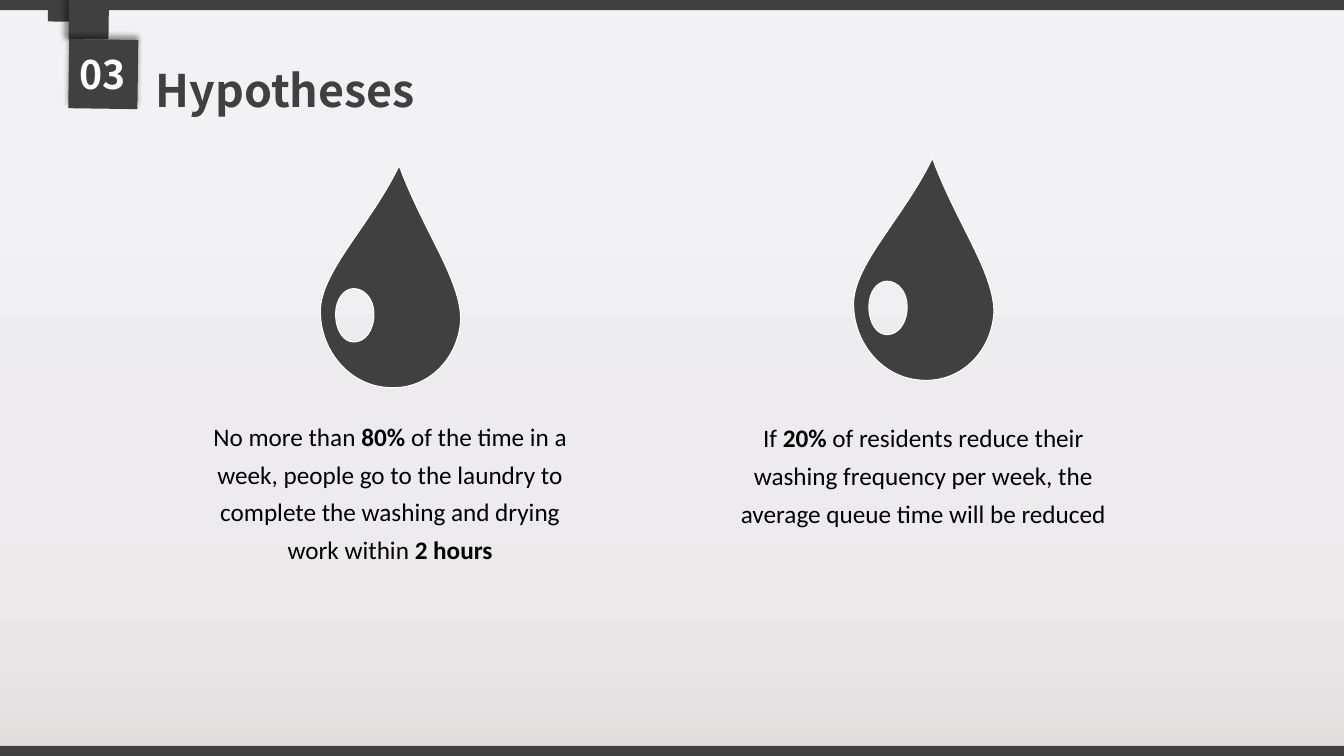
from collections import namedtuple

from lxml import etree
from pptx import Presentation
from pptx import util as u
from pptx.dml.color import RGBColor
from pptx.enum import shapes, text
from pptx.oxml import ns

COLORS = {"dark": "404040", "white": "FFFFFF", "black": "000000"}
BACKGROUND = [(0, "E0DCDB"), (13, "E9E7E8"), (23, "ECEAEB"),
              (34, "EDEBEE"), (51, "EDEDEF"), (73, "F2F2F4")]
HEADING_FONT, BODY_FONT = "Noto Sans CJK SC", "Calibri"

# The slide is a grid of 160 columns by 90 rows of square cells.
COLUMNS, ROWS = 160, 90
CELL = u.Inches(7.5) / ROWS
Box = namedtuple("Box", "left top width height")

# Drop curves on the drop's own grid: start, then cubic segments.
DROP_SIZE = (142, 223)
DROP_OUTLINE = [(80, 0),
                (52, 58), (5, 102), (2, 141),
                (0, 181), (29, 217), (67, 220),
                (106, 224), (138, 194), (141, 154),
                (142, 114), (104, 65), (80, 0)]
DROP_HOLE = [(35, 175),
             (25, 175), (17, 164), (17, 147),
             (17, 133), (25, 122), (35, 122),
             (46, 122), (55, 133), (55, 147),
             (55, 164), (46, 175), (35, 175)]


def color(name):
    """Return the RGB colour with this name."""
    return RGBColor.from_string(COLORS[name])


def inside(box, left, top, width, height):
    """Return a box placed by cells from the corner of another box."""
    return Box(box.left + left, box.top + top, width, height)


def emu(box):
    """Convert a box from cells to slide lengths."""
    return [u.Emu(round(value * CELL)) for value in box]


def add_child(parent, tag, **attributes):
    """Append a DrawingML element."""
    values = {key: str(value) for key, value in attributes.items()}
    return etree.SubElement(parent, ns.qn(tag), values)


def paint_background(page):
    """Fill the page with a gradient that runs from bottom to top."""
    fill = page.background.fill
    fill.gradient()
    fill.gradient_angle = 90
    stops = page.element.find(".//" + ns.qn("a:gsLst"))
    for stop in list(stops):
        stops.remove(stop)
    for position, value in BACKGROUND:
        stop = add_child(stops, "a:gs", pos=position * 1000)
        add_child(stop, "a:srgbClr", val=value)


def fill_dark(shape):
    """Give a shape a flat dark fill."""
    shape.shadow.inherit = False
    shape.fill.solid()
    shape.fill.fore_color.rgb = color("dark")


def add_dark_shape(parent, kind, box):
    """Add a dark preset shape without outline."""
    shape = parent.shapes.add_shape(kind, *emu(box))
    fill_dark(shape)
    shape.line.fill.background()
    return shape


def cast_shadow(shape, direction):
    """Give a shape a soft shadow in a direction in degrees."""
    effects = shape.element.spPr.find(ns.qn("a:effectLst"))
    shadow = add_child(effects, "a:outerShdw", blurRad=u.Pt(4), dist=u.Pt(3),
                       dir=direction * 60000, algn="ctr", rotWithShape=0)
    tint = add_child(shadow, "a:srgbClr", val=COLORS["black"])
    add_child(tint, "a:alpha", val=40000)


def add_span(para, words, size, font, tint, bold):
    """Add one formatted run."""
    span = para.add_run()
    span.text = words
    span.font.size, span.font.name, span.font.bold = u.Pt(size), font, bold
    span.font.color.rgb = color(tint)


def add_text(page, box):
    """Add a wrapping text box and return its centred paragraph."""
    frame = page.shapes.add_textbox(*emu(box)).text_frame
    frame.word_wrap = True
    para = frame.paragraphs[0]
    para.alignment = text.PP_ALIGN.CENTER
    return para


def add_header(page, box, number, heading):
    """Build the square tags, the section number and the title."""
    tags = [(7.02, 1.26, 3.72, 45.8, None),
            (10.56, 2.28, 6.72, 135.8, 180),
            (12.3, 8.82, 11.64, 315.8, 270)]
    group = page.shapes.add_group_shape()
    for center_x, center_y, side, angle, shadow in tags:
        place = inside(box, center_x - side / 2, center_y - side / 2, side, side)
        tag = add_dark_shape(group, shapes.MSO_SHAPE.DIAMOND, place)
        tag.rotation = angle
        if shadow is not None:
            cast_shadow(tag, shadow)

    para = add_text(page, inside(box, 7.92, 5.4, 8.64, 6.84))
    add_span(para, number, 28, HEADING_FONT, "white", True)

    title = page.shapes.title
    title.left, title.top, title.width, title.height = emu(
        inside(box, 17.34, 3.72, 34.32, 9.72))
    frame = title.text_frame
    frame.auto_size = text.MSO_AUTO_SIZE.NONE
    frame.word_wrap = False
    frame.vertical_anchor = text.MSO_ANCHOR.TOP
    para = frame.paragraphs[0]
    para.alignment = text.PP_ALIGN.LEFT
    para.line_spacing = 1.5
    add_span(para, heading, 32, HEADING_FONT, "dark", True)


def bend_lines(shape):
    """Join each three line segments of a freeform into one cubic curve."""
    lines = list(shape.element.iter(ns.qn("a:lnTo")))
    for first in range(0, len(lines), 3):
        curve = etree.Element(ns.qn("a:cubicBezTo"))
        lines[first].addprevious(curve)
        for line in lines[first:first + 3]:
            curve.append(line[0])
            line.getparent().remove(line)


def add_drop(page, box):
    """Draw a water drop with an oval hole."""
    left, top, width, _ = emu(box)
    builder = page.shapes.build_freeform(*DROP_OUTLINE[0],
                                         scale=width / DROP_SIZE[0])
    builder.add_line_segments(DROP_OUTLINE[1:], close=True)
    builder.move_to(*DROP_HOLE[0])
    builder.add_line_segments(DROP_HOLE[1:], close=True)
    drop = builder.convert_to_shape(left, top)
    bend_lines(drop)
    fill_dark(drop)
    drop.line.color.rgb = color("white")
    drop.line.width = u.Pt(0.75)


def add_hypothesis(page, box, caption_top, spans):
    """Build a drop centred above its caption."""
    width, height = (size * 0.12 for size in DROP_SIZE)
    add_drop(page, inside(box, (box.width - width) / 2, 0, width, height))
    para = add_text(page, inside(box, 0, caption_top, box.width,
                                 box.height - caption_top))
    para.line_spacing = 1.25
    for words, bold in spans:
        add_span(para, words, 18, BODY_FONT, "black", bold)


def build_hypotheses(deck):
    """Build the hypotheses slide."""
    page = deck.slides.add_slide(deck.slide_layouts.get_by_name("Title Only"))
    paint_background(page)
    bar = 1.2
    for top in (0, ROWS - bar):
        add_dark_shape(page, shapes.MSO_SHAPE.RECTANGLE, Box(0, top, COLUMNS, bar))
    add_header(page, Box(0, 0, COLUMNS, 15), "03", "Hypotheses")
    add_hypothesis(page, Box(23.82, 19.72, 45.24, 48), 28.94, [
        ("No more than ", False),
        ("80% ", True),
        ("of the time in a week, people go to the laundry to complete "
         "the washing and drying work within ", False),
        ("2 hours", True)])
    add_hypothesis(page, Box(86.28, 18.84, 47.28, 44.52), 30, [
        ("If ", False),
        ("20% ", True),
        ("of residents reduce their washing frequency per week, "
         "the average queue time will be reduced", False)])


deck = Presentation()
deck.slide_width = u.Emu(round(COLUMNS * CELL))
deck.slide_height = u.Emu(round(ROWS * CELL))
build_hypotheses(deck)
deck.save("out.pptx")
